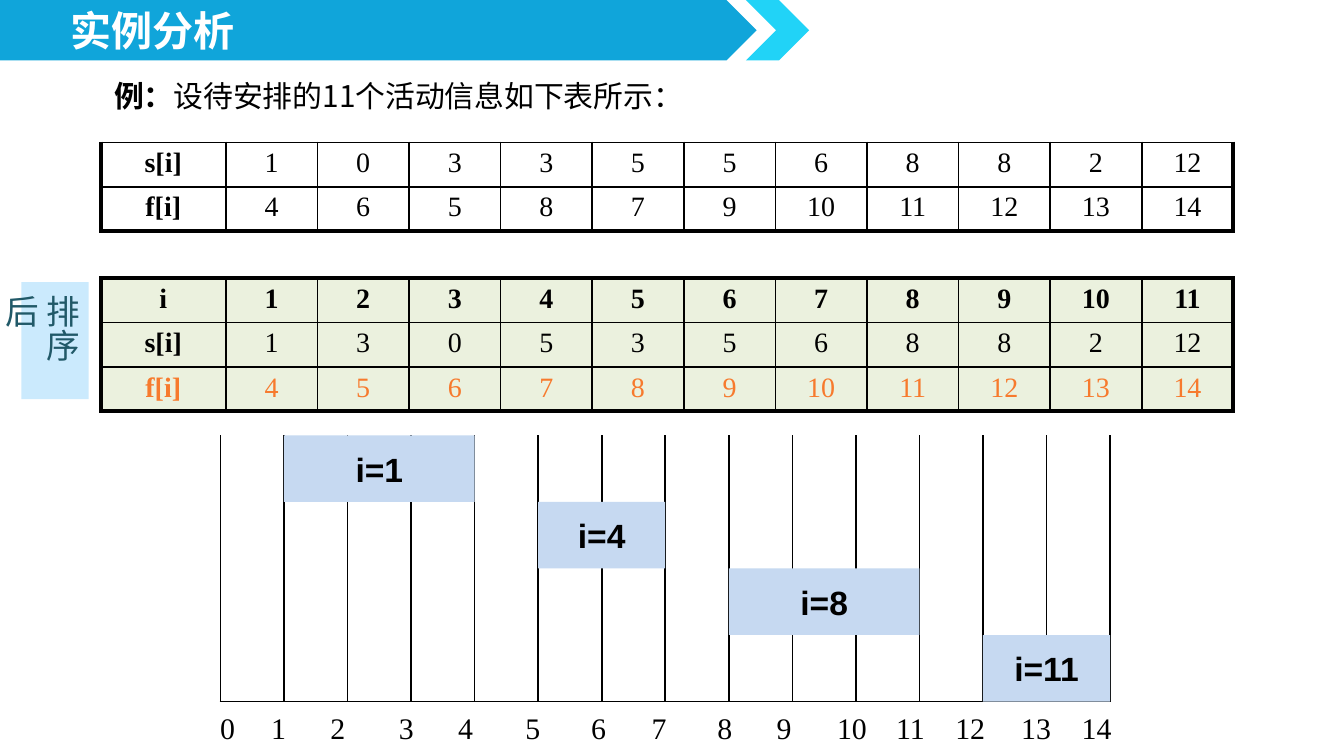
from lxml import etree
from pptx import Presentation
from pptx.dml.color import RGBColor
from pptx.enum.shapes import MSO_SHAPE
from pptx.enum.text import MSO_ANCHOR, MSO_AUTO_SIZE, PP_ALIGN
from pptx.oxml.ns import qn
from pptx.util import Inches, Pt

RECT, PENTAGON, CHEVRON = MSO_SHAPE.RECTANGLE, MSO_SHAPE.PENTAGON, MSO_SHAPE.CHEVRON
TOP, MIDDLE = MSO_ANCHOR.TOP, MSO_ANCHOR.MIDDLE
LEFT, CENTER = PP_ALIGN.LEFT, PP_ALIGN.CENTER
GROW = MSO_AUTO_SIZE.SHAPE_TO_FIT_TEXT

# Content
TITLE = "实例分析"
INTRO = [("例：", True), ("设待安排的11个活动信息如下表所示：", False)]
SIDE_LABEL = "排序后"
ACTIVITIES = [
    ("s[i]", 1, 0, 3, 3, 5, 5, 6, 8, 8, 2, 12),
    ("f[i]", 4, 6, 5, 8, 7, 9, 10, 11, 12, 13, 14),
]
SORTED_ACTIVITIES = [
    ("i", 1, 2, 3, 4, 5, 6, 7, 8, 9, 10, 11),
    ("s[i]", 1, 3, 0, 5, 3, 5, 6, 8, 8, 2, 12),
    ("f[i]", 4, 5, 6, 7, 8, 9, 10, 11, 12, 13, 14),
]
CHOSEN = [("i=1", 1, 4), ("i=4", 5, 7), ("i=8", 8, 11), ("i=11", 12, 14)]
HOURS = 14
# Distance of each hour label after 0 from the start of the axis text
HOUR_STOPS = [0.38, 0.82, 1.33, 1.77, 2.27, 2.76, 3.21, 3.7, 4.14,
              4.59, 5.03, 5.47, 5.96, 6.41]

THEME = {
    "banner": "10A5DA", "accent": "21D3F7", "white": "FFFFFF", "ink": "000000",
    "sorted": "EBF1DE", "finish": "F77A2D", "bar": "C6D9F1",
    "side": "CBEAFD", "side_text": "215968",
    "cjk": "Noto Sans CJK SC", "serif": "Times New Roman", "sans": "Arial",
    "title": 22, "body": 16, "cell": 15, "label": 18, "thin": 1, "thick": 2.25,
}


def color(name):
    return RGBColor.from_string(THEME[name])


def add_span(para, text, font, size, ink="ink", bold=False):
    span = para.add_run()
    span.text = text
    span.font.name = THEME[font]
    span.font.size = Pt(THEME[size])
    span.font.bold = bold
    span.font.color.rgb = color(ink)
    if font == "cjk":
        east_asian = etree.SubElement(span.font._element, qn("a:ea"))
        east_asian.set("typeface", THEME[font])


def add_block(page, kind, place, fill, anchor=TOP, align=LEFT):
    block = page.shapes.add_shape(kind, *map(Inches, place))
    block.shadow.inherit = False
    block.fill.solid()
    block.fill.fore_color.rgb = color(fill)
    block.line.fill.background()
    frame = block.text_frame
    frame.word_wrap = True
    frame.vertical_anchor = anchor
    frame.paragraphs[0].alignment = align
    return block


def add_textbox(page, place, wrap):
    box = page.shapes.add_textbox(*map(Inches, place))
    box.text_frame.word_wrap = wrap
    box.text_frame.auto_size = GROW
    return box.text_frame.paragraphs[0]


def set_borders(cell, left, right, top, bottom):
    """Give each side a width in points; 0 leaves the side undrawn."""
    props = cell._tc.get_or_add_tcPr()
    for tag, width in (("lnL", left), ("lnR", right), ("lnT", top), ("lnB", bottom)):
        line = etree.SubElement(props, qn(f"a:{tag}"), w=str(int(Pt(width))))
        if width:
            fill = etree.SubElement(line, qn("a:solidFill"))
            etree.SubElement(fill, qn("a:srgbClr"), val=THEME["ink"])
        else:
            etree.SubElement(line, qn("a:noFill"))


def add_grid(page, place, rows, widths):
    shape = page.shapes.add_table(rows, len(widths), *map(Inches, place))
    grid = shape.table
    grid.first_row = grid.horz_banding = False
    for column, width in zip(grid.columns, widths):
        column.width = Inches(width)
    for row in grid.rows:
        row.height = Inches(place[3] / rows)
    return grid


def add_activity_table(page, top, height, data, top_edge, fill=None):
    width, first = 8.43, 0.93
    count = len(data[0])
    widths = [first] + [(width - first) / (count - 1)] * (count - 1)
    grid = add_grid(page, (0.75, top, width, height), len(data), widths)
    thin, thick = THEME["thin"], THEME["thick"]
    for r, values in enumerate(data):
        ink = "finish" if fill and values[0] == "f[i]" else "ink"
        for c, value in enumerate(values):
            cell = grid.cell(r, c)
            set_borders(cell,
                        thick if c == 0 else thin,
                        thick if c == count - 1 else thin,
                        top_edge if r == 0 else thin,
                        thick if r == len(data) - 1 else thin)
            if fill:
                cell.fill.solid()
                cell.fill.fore_color.rgb = color(fill)
            else:
                cell.fill.background()
            cell.margin_top = cell.margin_bottom = Inches(0.04)
            para = cell.text_frame.paragraphs[0]
            para.alignment = CENTER
            add_span(para, str(value), "serif", "cell", ink,
                     bold=c == 0 or values[0] == "i")


def add_timeline(page):
    left, top, width, height = 1.64, 3.24, 6.62, 1.98
    step, lanes = width / HOURS, len(CHOSEN)
    grid = add_grid(page, (left, top, width, height), lanes, [step] * HOURS)
    thin = THEME["thin"]
    for r in range(lanes):
        for c in range(HOURS):
            cell = grid.cell(r, c)
            set_borders(cell, thin, thin, 0, thin if r == lanes - 1 else 0)
            cell.fill.background()

    # Hour labels
    para = add_textbox(page, (1.54, 5.23, 6.93, 0.37), True)
    stops = etree.SubElement(para._p.get_or_add_pPr(), qn("a:tabLst"))
    for stop in HOUR_STOPS:
        etree.SubElement(stops, qn("a:tab"), pos=str(int(Inches(stop))), algn="l")
    add_span(para, "\t".join(map(str, range(HOURS + 1))), "serif", "body")

    # Chosen activities, one per lane
    lane = height / lanes
    for row, (name, start, finish) in enumerate(CHOSEN):
        place = (left + start * step, top + row * lane, (finish - start) * step, lane)
        bar = add_block(page, RECT, place, "bar", MIDDLE, CENTER)
        add_span(bar.text_frame.paragraphs[0], name, "sans", "label", bold=True)


def main():
    deck = Presentation()
    deck.slide_width, deck.slide_height = Inches(10), Inches(10 * 9 / 16)
    page = deck.slides.add_slide(deck.slide_layouts[6])

    # Banner
    add_block(page, PENTAGON, (0, 0, 5.63, 0.45), "banner")
    add_block(page, CHEVRON, (5.55, 0, 0.47, 0.45), "accent")
    para = add_textbox(page, (0.43, 0.06, 1.44, 0.4), False)
    para.line_spacing = 0.8
    add_span(para, TITLE, "cjk", "title", "white", True)

    # Introduction
    intro = add_block(page, RECT, (0.75, 0.53, 4.65, 0.35), "white")
    for text, bold in INTRO:
        add_span(intro.text_frame.paragraphs[0], text, "cjk", "body", bold=bold)

    # Activity tables and timeline
    add_activity_table(page, 1.06, 0.65, ACTIVITIES, THEME["thin"])
    add_activity_table(page, 2.07, 0.97, SORTED_ACTIVITIES, THEME["thick"], "sorted")
    add_timeline(page)

    # Vertical side label
    side = add_block(page, RECT, (0.16, 2.1, 0.5, 0.87), "side")
    side.text_frame.auto_size = GROW
    side.text_frame._txBody.bodyPr.set("vert", "eaVert")
    add_span(side.text_frame.paragraphs[0], SIDE_LABEL, "cjk", "label", "side_text")

    deck.save("out.pptx")


if __name__ == "__main__":
    main()
